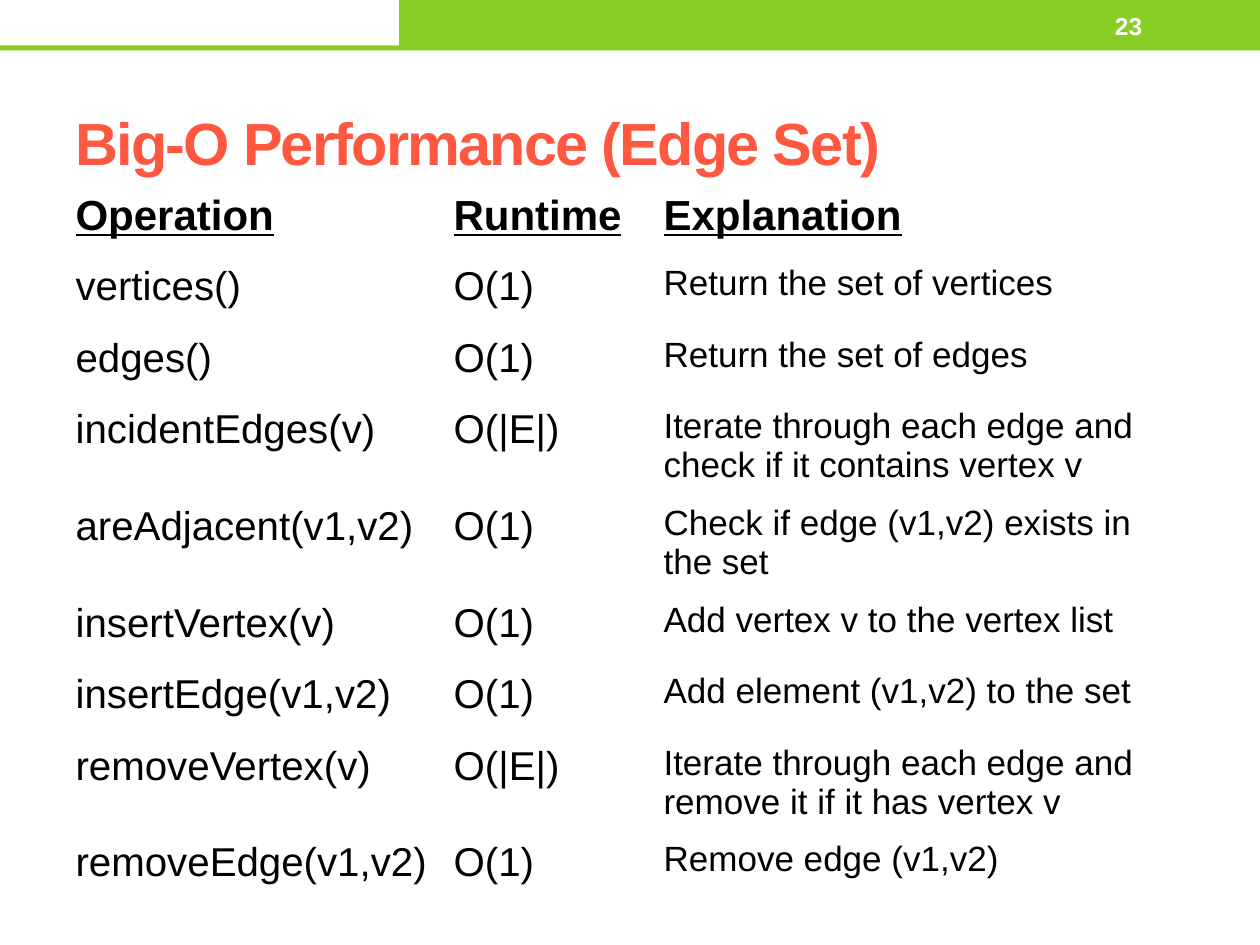
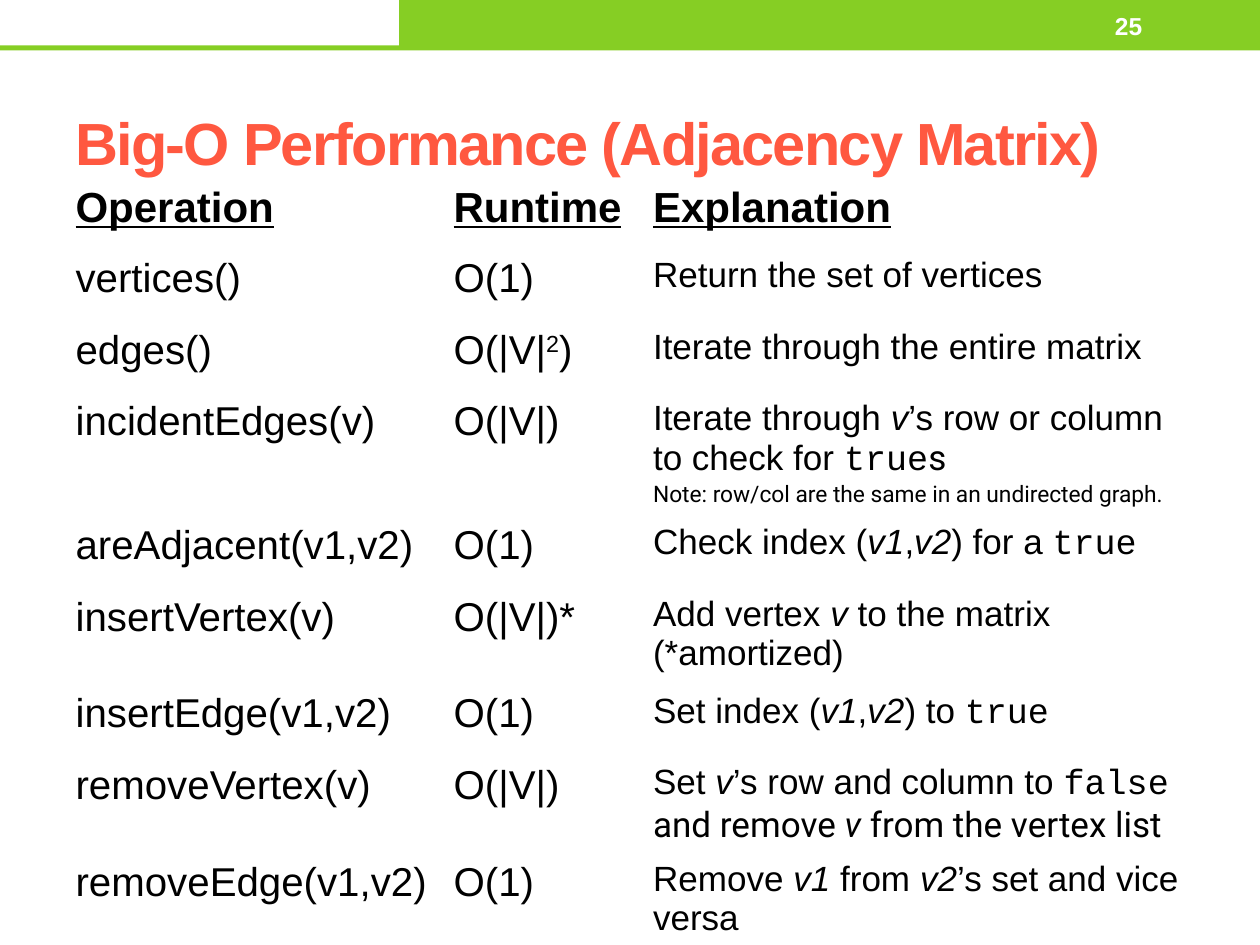
"""Build two slides that compare the Big-O cost of graph operations."""
from dataclasses import dataclass
from typing import Any, NamedTuple

from pptx import Presentation
from pptx.dml.color import RGBColor
from pptx.enum.shapes import MSO_SHAPE as Preset
from pptx.enum.text import MSO_ANCHOR as Anchor
from pptx.util import Pt

GREEN = RGBColor(0x86, 0xCE, 0x24)
CORAL = RGBColor(0xFF, 0x58, 0x40)
BLACK = RGBColor(0x00, 0x00, 0x00)
WHITE = RGBColor(0xFF, 0xFF, 0xFF)

TITLE = {"name": "Arial", "size": Pt(34), "bold": True}
NUMBER = {"name": "Arial", "size": Pt(14), "bold": True}
HEADING = {"name": "Arial", "size": Pt(24), "bold": True, "underline": True}
ENTRY = {"name": "Arial", "size": Pt(23)}
DETAIL = {"name": "Arial", "size": Pt(20)}
ITALIC = {"italic": True}
CODE = {"name": "Courier New"}
ROBOTO = {"name": "Roboto"}
NOTE = {"name": "Roboto", "size": Pt(13)}

ROW_HEIGHT = 40.86
HEADINGS = ("Operation", "Runtime", "Explanation")
OPERATIONS = (
    "vertices()",
    "edges()",
    "incidentEdges(v)",
    "areAdjacent(v1,v2)",
    "insertVertex(v)",
    "insertEdge(v1,v2)",
    "removeVertex(v)",
    "removeEdge(v1,v2)",
)


class Box(NamedTuple):
    """A rectangle in points."""

    left: float
    top: float
    width: float
    height: float

    def lengths(self) -> list[Pt]:
        """Return the four measures as lengths."""
        return [Pt(value) for value in self]


class Span(NamedTuple):
    """Text with the formats that differ from its surroundings."""

    text: str
    style: dict[str, Any] = {}
    raw: dict[str, str] = {}


Line = tuple[Span, ...]
Cell = tuple[Line, ...]


@dataclass(frozen=True)
class Comparison:
    """Content and table geometry of one slide."""

    title: str
    number: str
    table_top: float
    widths: tuple[float, float, float]
    runtimes: tuple[Cell, ...]
    explanations: tuple[Cell, ...]


def cell(*spans: str | Span) -> Cell:
    """Return a cell of one paragraph."""
    return (tuple(Span(s) if isinstance(s, str) else s for s in spans),)


V, V1, V2 = (Span(text, ITALIC) for text in ("v", "v1", "v2"))
TRUE = Span("true", CODE)
CONSTANT = cell("O(1)")
EDGES = cell("O(|E|)")
VERTICES = cell("O(|V|)")

COMPARISONS = (
    Comparison(
        "Big-O Performance (Edge Set)", "23", 106.5, (216, 120, 300),
        (CONSTANT, CONSTANT, EDGES, CONSTANT,
         CONSTANT, CONSTANT, EDGES, CONSTANT),
        (
            cell("Return the set of vertices"),
            cell("Return the set of edges"),
            cell("Iterate through each edge and check if it contains vertex v"),
            cell("Check if edge (v1,v2) exists in the set"),
            cell("Add vertex v to the vertex list"),
            cell("Add element (v1,v2) to the set"),
            cell("Iterate through each edge and remove it if it has vertex v"),
            cell("Remove edge (v1,v2)"),
        ),
    ),
    Comparison(
        "Big-O Performance (Adjacency Matrix)", "25", 102, (216, 114, 324),
        (CONSTANT, cell("O(|V|", Span("2", raw={"baseline": "30000"}), ")"),
         VERTICES, CONSTANT, cell("O(|V|)*"), CONSTANT, VERTICES, CONSTANT),
        (
            cell("Return the set of vertices"),
            cell("Iterate through the entire matrix"),
            cell("Iterate through ", V, "’s row or column to check for ",
                 TRUE, Span("s", ROBOTO))
            + cell(Span("Note: row/col are the same in an undirected graph.", NOTE)),
            cell("Check index (", V1, ",", V2, ") for a ", TRUE),
            cell("Add vertex ", V, " to the matrix (*amortized)"),
            cell("Set index (", V1, ",", V2, ") to ", TRUE),
            cell("Set ", V, "’s row and column to ", Span("false ", CODE),
                 Span("and remove ", ROBOTO), Span("v", ROBOTO | ITALIC),
                 Span(" from the vertex list", ROBOTO)),
            cell("Remove ", V1, " from ", V2, "’s set and vice versa"),
        ),
    ),
)


def write(frame: Any, content: Cell, style: dict[str, Any], color: RGBColor) -> None:
    """Fill a text frame with formatted paragraphs."""
    for index, line in enumerate(content):
        para = frame.add_paragraph() if index else frame.paragraphs[0]
        for text, changes, raw in line:
            span = para.add_run()
            span.text = text
            for name, value in (style | changes).items():
                setattr(span.font, name, value)
            span.font.color.rgb = color
            for name, value in raw.items():
                span._r.get_or_add_rPr().set(name, value)


def add_band(page: Any, box: Box, color: RGBColor) -> None:
    """Draw a plain filled rectangle."""
    band = page.shapes.add_shape(Preset.RECTANGLE, *box.lengths())
    band.shadow.inherit = False
    band.fill.solid()
    band.fill.fore_color.rgb = color
    band.line.fill.background()


def add_label(page: Any, box: Box, span: Span, style: dict[str, Any],
              color: RGBColor) -> None:
    """Place vertically centred text."""
    frame = page.shapes.add_textbox(*box.lengths()).text_frame
    frame.word_wrap = True
    frame.vertical_anchor = Anchor.MIDDLE
    write(frame, cell(span), style, color)


def add_costs(page: Any, comparison: Comparison) -> None:
    """Add the table of operations, runtimes and explanations."""
    rows = [tuple(map(cell, HEADINGS))]
    rows += zip(map(cell, OPERATIONS), comparison.runtimes, comparison.explanations)
    box = Box(36, comparison.table_top, sum(comparison.widths), ROW_HEIGHT * len(rows))
    table = page.shapes.add_table(len(rows), len(HEADINGS), *box.lengths()).table
    table.first_row = table.horz_banding = False
    for column, width in zip(table.columns, comparison.widths):
        column.width = Pt(width)
    for row_index, row in enumerate(rows):
        styles = (ENTRY, ENTRY, DETAIL) if row_index else (HEADING,) * 3
        for column_index, (content, style) in enumerate(zip(row, styles)):
            target = table.cell(row_index, column_index)
            target.fill.background()
            write(target.text_frame, content, style, BLACK)


def add_page(deck: Any, comparison: Comparison) -> None:
    """Add one slide with its bands, title, number and table."""
    page = deck.slides.add_slide(deck.slide_layouts[6])
    add_band(page, Box(0, 0, 720, 28.8), GREEN)
    add_band(page, Box(0, 0, 228, 26), WHITE)
    title = Span(comparison.title, raw={"spc": "-100"})
    add_label(page, Box(36, 42, 648, 78), title, TITLE, CORAL)
    add_label(page, Box(630, 1.5, 84, 26), Span(comparison.number), NUMBER, WHITE)
    add_costs(page, comparison)


def main() -> None:
    """Build and save the deck."""
    deck = Presentation()
    deck.slide_width, deck.slide_height = Pt(720), Pt(540)
    for comparison in COMPARISONS:
        add_page(deck, comparison)
    deck.save("out.pptx")


if __name__ == "__main__":
    main()
